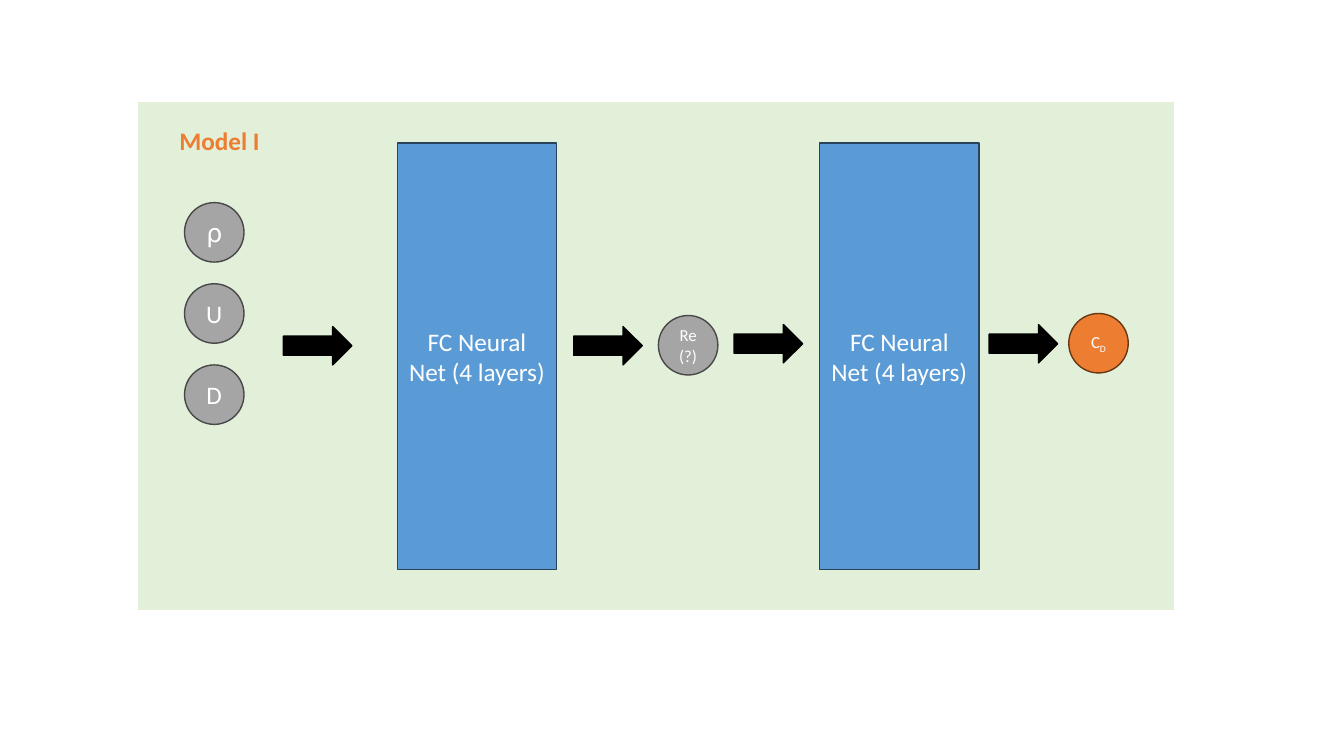
from pptx import Presentation
from pptx.dml.color import RGBColor
from pptx.enum.shapes import MSO_SHAPE
from pptx.enum.text import MSO_ANCHOR, MSO_AUTO_SIZE, PP_ALIGN
from pptx.util import Inches, Pt

RECT, OVAL, ARROW = MSO_SHAPE.RECTANGLE, MSO_SHAPE.OVAL, MSO_SHAPE.RIGHT_ARROW
MIDDLE, CENTER = MSO_ANCHOR.MIDDLE, PP_ALIGN.CENTER
GREEN, WHITE, BLACK = "E2F0D9", "FFFFFF", "000000"
GRAY, BLUE, ORANGE = ("A5A5A5", "484848"), ("5B9BD5", "28445D"), ("ED7D31", "683715")
NODE = 0.59


def rgb(value):
    return RGBColor.from_string(value)


def add_block(shapes, kind, box, fill, line, text="", size=18, weight=1):
    """Add a filled shape with centred white text and return its paragraph."""
    sp = shapes.add_shape(kind, *[Inches(v) for v in box])
    sp.shadow.inherit = False
    sp.fill.solid()
    sp.fill.fore_color.rgb = rgb(fill)
    sp.line.color.rgb = rgb(line)
    sp.line.width = Pt(weight)
    tf = sp.text_frame
    tf.word_wrap = True
    tf.vertical_anchor = MIDDLE
    p = tf.paragraphs[0]
    p.alignment = CENTER
    if text:
        p.add_run().text = text
        for name, value in {"name": "Calibri", "size": Pt(size)}.items():
            setattr(p.font, name, value)
        p.font.color.rgb = rgb(WHITE)
    return p


prs = Presentation()
prs.slide_width, prs.slide_height = Inches(13.33), Inches(7.5)
slide = prs.slides.add_slide(prs.slide_layouts[6])
diagram = slide.shapes.add_group_shape().shapes

add_block(diagram, RECT, (1.37, 1.02, 10.27, 5.03), GREEN, GREEN, weight=0.5)

# Input variables
for row, variable in enumerate("⍴UD"):
    add_block(diagram, OVAL, (1.83, 2.01 + row * 0.805, NODE, NODE), *GRAY, variable)

# Networks, hidden quantity and output
for x in (3.94, 8.13):
    add_block(diagram, RECT, (x, 1.42, 1.58, 4.23), *BLUE, "FC Neural Net (4 layers)")
add_block(diagram, OVAL, (6.53, 3.13, NODE, NODE), *GRAY, "Re (?)", 12)
p = add_block(diagram, OVAL, (10.6, 3.11, NODE, NODE), *ORANGE, "C", 12)
r = p.add_run()
r.text = "D"
r.font._element.set("baseline", "-25000")

for x, y in ((2.81, 3.24), (5.69, 3.24), (7.28, 3.22), (9.81, 3.22)):
    add_block(diagram, ARROW, (x, y, 0.68, 0.38), BLACK, BLACK)

# Title
title = slide.shapes.add_textbox(*[Inches(v) for v in (1.68, 1.19, 1.31, 0.4)])
tf = title.text_frame
tf.word_wrap = True
tf.auto_size = MSO_AUTO_SIZE.SHAPE_TO_FIT_TEXT
r = tf.paragraphs[0].add_run()
r.text = "Model I"
for name, value in {"name": "Calibri", "size": Pt(18), "bold": True}.items():
    setattr(r.font, name, value)
r.font.color.rgb = rgb(ORANGE[0])

prs.save("out.pptx")
